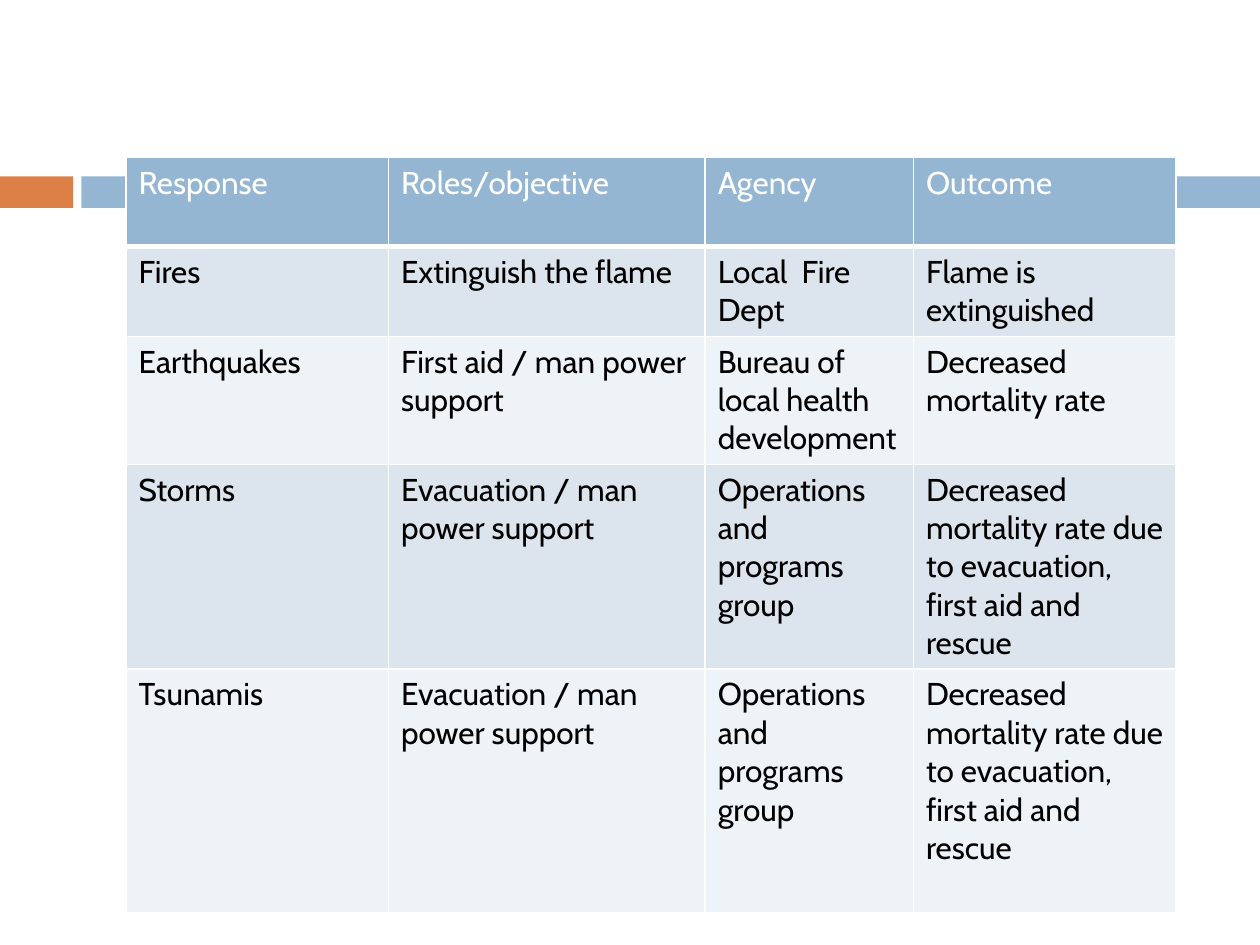
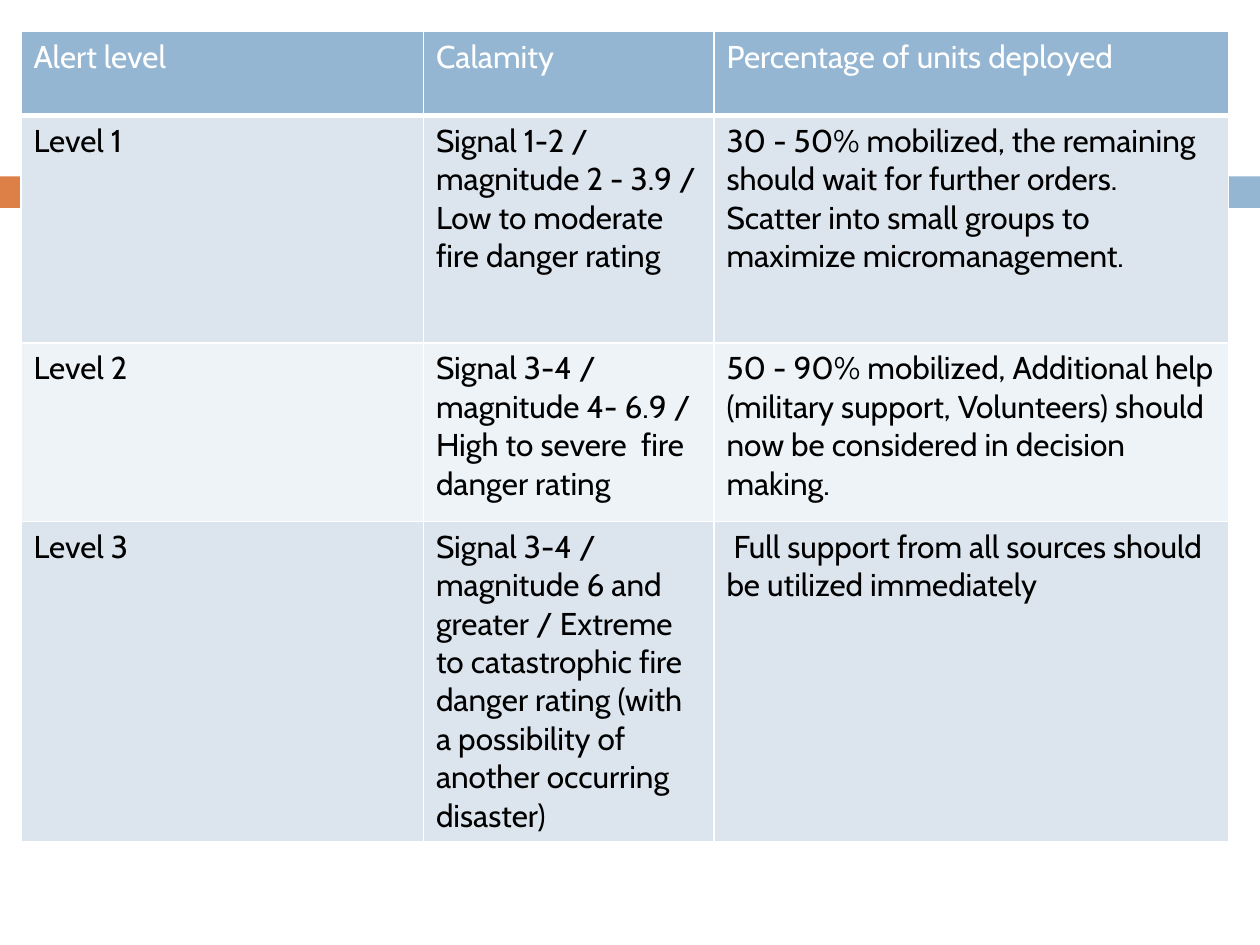
import pptx
import pptx.util
import pptx.dml.color
import pptx.enum.shapes
from lxml import etree
from pptx.oxml.ns import qn

Pt = pptx.util.Pt
ORANGE, BLUE, WHITE, BLACK = "DD8047", "94B6D2", "FFFFFF", "000000"
STRIPES = ("DCE5EE", "EEF3F7")


def paint(fill, color):
    fill.solid()
    fill.fore_color.rgb = pptx.dml.color.RGBColor.from_string(color)


class Deck:
    font = "Cabin"
    size = 18

    def __init__(self):
        self.file = pptx.Presentation()
        self.file.slide_width = Pt(720)
        self.file.slide_height = Pt(540)
        self.slide = None

    def page(self):
        self.slide = self.file.slides.add_slide(self.file.slide_layouts[6])
        self.band(0, 41.8, ORANGE)
        self.band(46.5, 673.5, BLUE)

    def band(self, left, width, color):
        shape = self.slide.shapes.add_shape(
            pptx.enum.shapes.MSO_SHAPE.RECTANGLE,
            Pt(left), Pt(100.8), Pt(width), Pt(18))
        shape.shadow.inherit = False
        paint(shape.fill, color)
        shape.line.fill.background()

    def edges(self, cell, base):
        props = cell._tc.get_or_add_tcPr()
        for side, width in (("L", 1), ("R", 1), ("T", 1), ("B", base)):
            line = etree.SubElement(props, qn("a:ln" + side), w=str(Pt(width)))
            fill = etree.SubElement(line, qn("a:solidFill"))
            etree.SubElement(fill, qn("a:srgbClr"), val=WHITE)

    def cell(self, cell, text, fill, color, base):
        self.edges(cell, base)
        paint(cell.fill, fill)
        run = cell.text_frame.paragraphs[0].add_run()
        run.text = text
        run.font.name = self.font
        run.font.size = Pt(self.size)
        run.font.bold = False
        paint(run.font.fill, color)

    def table(self, left, top, widths, heights, rows):
        frame = self.slide.shapes.add_table(
            len(rows), len(widths), Pt(left), Pt(top),
            Pt(sum(widths)), Pt(sum(heights)))
        table = frame.table
        table.horz_banding = False
        for column, width in zip(table.columns, widths):
            column.width = Pt(width)
        for row, height in zip(table.rows, heights):
            row.height = Pt(height)
        for i, texts in enumerate(rows):
            if i == 0:
                style = (BLUE, WHITE, 3)
            else:
                style = (STRIPES[(i - 1) % 2], BLACK, 1)
            for j, text in enumerate(texts):
                self.cell(table.cell(i, j), text, *style)


deck = Deck()

deck.page()
rescue = (
    "Evacuation / man power support",
    "Operations and programs group",
    "Decreased mortality rate due to evacuation, first aid and rescue",
)
deck.table(72, 90, (150, 181, 119, 150), (51, 51, 73, 117, 139), [
    ("Response", "Roles/objective", "Agency", "Outcome"),
    ("Fires", "Extinguish the flame", "Local  Fire Dept",
     "Flame is extinguished"),
    ("Earthquakes", "First aid / man power support",
     "Bureau of local health development", "Decreased mortality rate"),
    ("Storms", *rescue),
    ("Tsunamis", *rescue),
])

deck.page()
deck.table(12, 18, (230, 166, 294), (48, 130, 102, 183), [
    ("Alert level", "Calamity", "Percentage of units deployed"),
    ("Level 1",
     "Signal 1-2 / magnitude 2 - 3.9 / Low to moderate fire danger rating",
     "30 - 50% mobilized, the remaining should wait for further orders. "
     "Scatter into small groups to maximize micromanagement."),
    ("Level 2",
     "Signal 3-4 / magnitude 4- 6.9 / High to severe  fire danger rating",
     "50 - 90% mobilized, Additional help (military support, Volunteers) "
     "should now be considered in decision making."),
    ("Level 3",
     "Signal 3-4 / magnitude 6 and greater / Extreme to catastrophic fire "
     "danger rating (with a possibility of another occurring disaster)",
     " Full support from all sources should be utilized immediately"),
])

deck.file.save("out.pptx")
